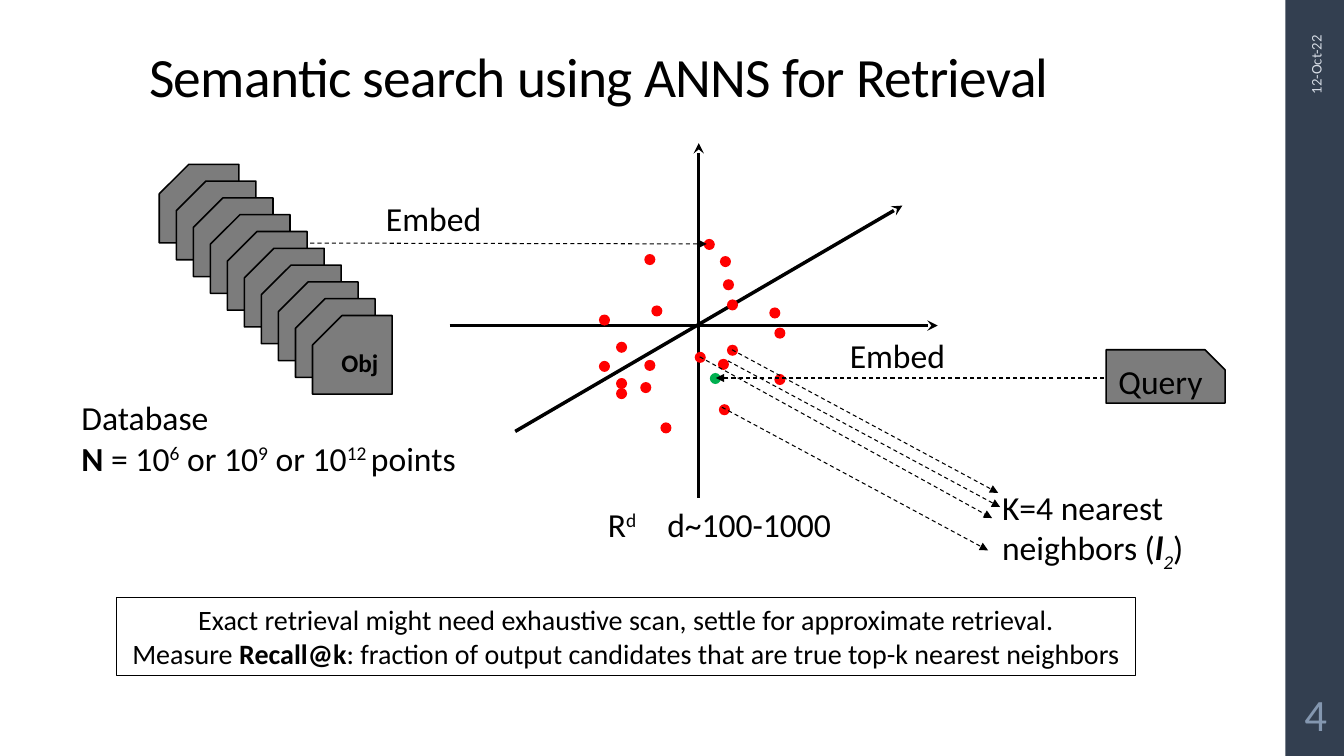
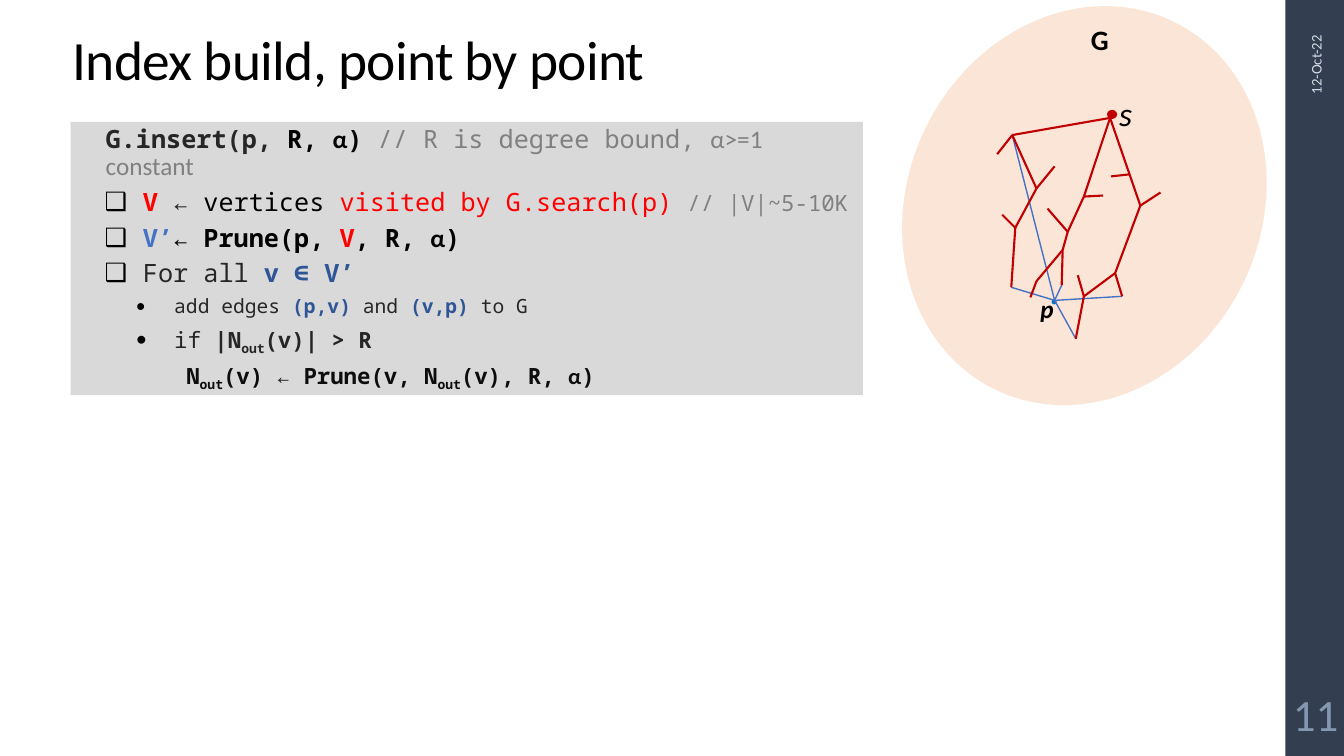
from itertools import pairwise

from lxml import etree
from pptx import Presentation
from pptx.dml.color import RGBColor
from pptx.enum.dml import MSO_LINE
from pptx.enum.shapes import MSO_CONNECTOR, MSO_SHAPE
from pptx.enum.text import MSO_ANCHOR, MSO_AUTO_SIZE, PP_ALIGN
from pptx.oxml.ns import qn
from pptx.util import Inches, Pt

LEFT, CENTER, RIGHT = PP_ALIGN.LEFT, PP_ALIGN.CENTER, PP_ALIGN.RIGHT
TOP, MIDDLE, BOTTOM = MSO_ANCHOR.TOP, MSO_ANCHOR.MIDDLE, MSO_ANCHOR.BOTTOM
NO_AUTOFIT = MSO_AUTO_SIZE.NONE
RECTANGLE, OVAL = MSO_SHAPE.RECTANGLE, MSO_SHAPE.OVAL
SNIPPED, NODE = MSO_SHAPE.SNIP_1_RECTANGLE, MSO_SHAPE.FLOWCHART_CONNECTOR
STRAIGHT, DASH = MSO_CONNECTOR.STRAIGHT, MSO_LINE.DASH

SANS, MONO = "Calibri", "Noto Sans Mono"
COLORS = {
    "black": "000000", "band": "333F50", "date": "D6DCE5", "number": "8497B0",
    "card": "7C7C7C", "red": "FF0000", "green": "00B050", "peach": "FBE5D6",
    "panel": "D9D9D9", "ink": "262626", "dark": "0D0D0D", "comment": "808080",
    "blue": "4472C4", "navy": "2F5597", "edge": "C00000", "point": "0070C0",
}


def rgb(name):
    return RGBColor.from_string(COLORS[name])


class Deck:
    def __init__(self):
        self.deck = Presentation()
        self.deck.slide_width, self.deck.slide_height = Inches(13.33), Inches(7.5)
        self.slide = None

    def page(self, title, left, top, number):
        """Start a slide with its title, side band, date and page number."""
        self.slide = self.deck.slides.add_slide(self.deck.slide_layouts[5])
        box = self.slide.shapes.title
        box.left, box.top, box.width, box.height = map(Inches, (left, top, 10.6, 0.74))
        self.set_text(box, [[(title, {})]], size=39.6, anchor=BOTTOM)
        paragraph = box.text_frame.paragraphs[0]
        paragraph.line_spacing = 0.9
        paragraph.runs[0]._r.get_or_add_rPr().set("spc", "-50")

        self.shape(RECTANGLE, 12.75, 0, 0.6, 7.5, fill="band")
        date = self.text(12.01, 1.09, 2.08, 0.4, "12-Oct-22", size=10.5, color="date",
                         align=RIGHT, anchor=MIDDLE)
        date.rotation = 270
        self.text(12.75, 6.75, 0.6, 0.65, str(number), size=32, color="number",
                  align=CENTER, anchor=MIDDLE, inset=0.05)

    def set_text(self, box, paragraphs, size=24, color="black", font=SANS, align=LEFT,
                 anchor=TOP, inset=None):
        """Fill a box with paragraphs, each a list of (text, style changes)."""
        frame = box.text_frame
        frame.word_wrap, frame.auto_size = True, NO_AUTOFIT
        frame.vertical_anchor = anchor
        if inset is not None:
            frame.margin_left = frame.margin_right = Inches(inset)
            frame.margin_top = frame.margin_bottom = Inches(inset)
        for index, spans in enumerate(paragraphs):
            para = frame.add_paragraph() if index else frame.paragraphs[0]
            para.alignment = align
            for text, changes in spans:
                style = {"size": size, "color": color, "font": font} | changes
                span = para.add_run()
                span.text = text
                span.font.name, span.font.size = style["font"], Pt(style["size"])
                span.font.color.rgb = rgb(style["color"])
                span.font.bold = style.get("bold", False)
                span.font.italic = style.get("italic", False)
                if "base" in style:
                    baseline = str(style["base"] * 1000)
                    span._r.get_or_add_rPr().set("baseline", baseline)

    def text(self, left, top, width, height, content, **style):
        box = self.slide.shapes.add_textbox(*map(Inches, (left, top, width, height)))
        paragraphs = [[(content, {})]] if isinstance(content, str) else content
        self.set_text(box, paragraphs, **style)
        return box

    def shape(self, kind, left, top, width, height, fill=None, line=None, weight=1.1):
        shape = self.slide.shapes.add_shape(kind, *map(Inches, (left, top, width, height)))
        shape.shadow.inherit = False
        if fill:
            shape.fill.solid()
            shape.fill.fore_color.rgb = rgb(fill)
        else:
            shape.fill.background()
        if line:
            shape.line.color.rgb = rgb(line)
            shape.line.width = Pt(weight)
        else:
            shape.line.fill.background()
        return shape

    def card(self, left, top, width, height, flipped=False):
        card = self.shape(SNIPPED, left, top, width, height, fill="card", line="black")
        card.adjustments[0] = 0.376
        if flipped:
            card._element.spPr.find(qn("a:xfrm")).set("flipH", "1")
        return card

    def dot(self, left, top, fill="red"):
        self.shape(OVAL, left, top, 0.11, 0.11, fill=fill)

    def line(self, start, end, color="black", weight=0.75, dashed=False, arrow=None):
        line = self.slide.shapes.add_connector(STRAIGHT, *map(Inches, (*start, *end)))
        line.line.color.rgb = rgb(color)
        line.line.width = Pt(weight)
        if dashed:
            line.line.dash_style = DASH
        if arrow:
            etree.SubElement(line.get_or_add_ln(), qn("a:tailEnd"), type=arrow)
        etree.SubElement(line._element.spPr, qn("a:effectLst"))

    def dashed_arrow(self, start, end):
        self.line(start, end, dashed=True, arrow="triangle")

    def indent(self, para, left, bullet=None):
        properties = para._p.get_or_add_pPr()
        properties.set("marL", str(Inches(left)))
        properties.set("indent", str(Inches(-0.38 if bullet else 0)))
        if bullet:
            color = etree.SubElement(properties, qn("a:buClr"))
            etree.SubElement(color, qn("a:srgbClr"), val=COLORS["black"])
            etree.SubElement(properties, qn("a:buFont"), typeface=SANS)
            etree.SubElement(properties, qn("a:buChar"), char=bullet)

    def tab_stop(self, para, position):
        stops = etree.SubElement(para._p.get_or_add_pPr(), qn("a:tabLst"))
        etree.SubElement(stops, qn("a:tab"), pos=str(Inches(position)), algn="l")


def semantic_search(deck):
    deck.page("Semantic search using ANNS for Retrieval", 1.38, 0.4, 4)

    deck.dot(6.98, 2.37)
    deck.dashed_arrow((2.36, 2.41), (7.01, 2.42))
    deck.text(3.73, 1.91, 1.3, 0.5, "Embed")
    for start, end in [((5.11, 4.28), (8.95, 2.04)), ((4.46, 3.23), (9.3, 3.23)),
                       ((6.93, 4.94), (6.93, 1.42))]:
        deck.line(start, end, weight=2.5, arrow="stealth")

    steps = 9
    for step in range(steps + 1):
        card = deck.card(1.58 + step * 1.52 / steps, 1.63 + step * 1.5 / steps,
                         0.79, 0.78, flipped=True)
    deck.set_text(card, [[("Obj", {"bold": True})]], size=18, align=CENTER, anchor=MIDDLE)

    power = {"base": 30}
    deck.text(0.71, 3.89, 4.06, 1.18, [
        [("Database", {})],
        [("N ", {"bold": True}), ("= 10", {}), ("6", power), (" or 10", {}),
         ("9", power), (" or 10", {}), ("12 ", power), ("points", {})],
    ])

    for left, top in [
        (7.14, 2.54), (6.39, 2.52), (6.11, 3.85), (7.63, 3.05), (5.94, 3.58),
        (6.11, 3.75), (7.68, 3.71), (6.46, 3.03), (6.55, 4.19), (7.13, 4.01),
        (6.11, 3.39), (5.94, 3.12), (6.39, 3.57), (7.68, 3.25), (7.12, 3.56),
        (6.89, 3.49), (6.35, 3.79), (7.17, 2.77), (7.21, 3.42), (7.21, 2.97),
    ]:
        deck.dot(left, top)
    space = deck.text(5.93, 4.95, 2.6, 0.5, [[("R", {}), ("d", power), ("\td~100-1000", {})]])
    deck.tab_stop(space.text_frame.paragraphs[0], 0.59)

    query = deck.card(10.97, 3.47, 1.18, 0.53)
    deck.set_text(query, [[("Query", {})]], align=CENTER, anchor=MIDDLE)
    deck.dot(7.04, 3.7, fill="green")
    deck.dashed_arrow((10.95, 3.75), (7.1, 3.75))
    deck.text(8.33, 3.27, 1.3, 0.5, "Embed")

    for start, end in [((7.22, 3.58), (9.92, 5.03)), ((7.26, 3.47), (9.9, 4.89)),
                       ((6.94, 3.54), (9.84, 5.14)), ((7.16, 4.04), (9.8, 5.46))]:
        deck.dashed_arrow(start, end)
    deck.text(9.84, 4.78, 2.23, 0.91, [[
        ("K=4 nearest neighbors (", {}), ("l", {"bold": True, "italic": True}),
        ("2", {"italic": True, "base": -25}), (")", {}),
    ]])

    summary = deck.shape(RECTANGLE, 1.16, 5.93, 10.1, 0.77, line="black", weight=0.75)
    deck.set_text(summary, [
        [("Exact retrieval might need exhaustive scan, settle for approximate retrieval.", {})],
        [("Measure ", {}), ("Recall@k", {"bold": True}),
         (": fraction of output candidates that are true top-k nearest neighbors", {})],
    ], size=20, align=CENTER)


def insert_code(deck):
    bold = {"bold": True}
    ink, red, comment = {"color": "ink"}, {"color": "red"}, {"color": "comment"}
    navy = {"color": "navy"} | bold
    alpha = {"font": SANS} | bold
    small, medium = {"size": 14}, {"size": 16}
    strong = ink | medium | bold
    dark = strong | {"color": "dark"}
    below = {"base": -25}
    lines = [
        (0.25, None, [("G.insert(p, ", ink | bold), ("R, ", bold), ("α", alpha), (") ", bold),
                      ("// R is degree bound, ", comment),
                      ("α>=1 constant", comment | {"font": SANS})]),
        (0.62, "❑", [("V ", red | bold), ("← ", ink), ("vertices", {}),
                     (" visited by G.search(p) ", red), ("// |V|~5-10K", comment | medium)]),
        (0.62, "❑", [("V’", {"color": "blue"} | bold), ("← ", {}), ("Prune(p, ", bold),
                     ("V", red | bold), (", R, ", bold), ("α", alpha), (")", bold)]),
        (0.62, "❑", [("For all ", ink), ("v ∈ V’", navy)]),
        (0.93, "•", [("add edges ", ink | small), ("(p,v)", navy | small),
                     (" and ", ink | small), ("(v,p)", navy | small), (" to G", ink | small)]),
        (0.93, "•", [("if ", ink | medium), ("|N", strong), ("out", strong | below),
                     ("(v)| > R", strong)]),
        (1.05, None, [("N", dark), ("out", dark | below), ("(v) ", dark), ("← ", strong),
                      ("Prune(v, N", dark), ("out", dark | below), ("(v), R, ", dark),
                      ("α", dark | alpha), (")", dark)]),
    ]
    panel = deck.shape(RECTANGLE, 0.7, 1.21, 7.86, 2.71, fill="panel")
    deck.set_text(panel, [spans for left, bullet, spans in lines], size=18, font=MONO)
    for index, para in enumerate(panel.text_frame.paragraphs):
        para.line_spacing = 0.9
        para.space_before, para.space_after = Pt(3 if index else 0), Pt(3)
        left, bullet, spans = lines[index]
        deck.indent(para, left, bullet)


def graph(deck):
    deck.shape(NODE, 10.98, 1.09, 0.1, 0.09, fill="edge")
    deck.shape(NODE, 10.43, 2.97, 0.05, 0.05, fill="point")
    deck.text(11, 0.87, 0.22, 0.5, [[("s", {"italic": True})]])
    deck.text(10.22, 2.86, 0.31, 0.4, [[("p", {"bold": True, "italic": True})]], size=18)
    deck.text(10.72, 0.17, 0.38, 0.44, [[("G", {"bold": True})]], size=20)

    vertices = {
        "s": (11.01, 1.17), "p": (10.46, 2.98),
        "a": (10.04, 1.34), "b": (10.28, 1.87), "c": (10.07, 2.26), "d": (10.03, 2.85),
        "e": (10.75, 1.95), "f": (10.59, 2.3), "g": (10.54, 2.48), "h": (10.28, 2.79),
        "i": (10.53, 2.83), "j": (11.31, 2.04), "k": (11.06, 2.71), "l": (10.75, 2.94),
        "m": (10.67, 3.36), "n": (11.13, 2.94),
        "A": (9.89, 1.53), "B": (10.46, 1.65), "C": (9.94, 2.13), "E": (10.94, 1.94),
        "F": (10.39, 2.07), "H": (10.22, 2.95), "J": (11.51, 1.91), "L": (10.69, 2.73),
        "T": (11.02, 1.75), "U": (11.2, 1.73),
    }
    new_edges = ["dp", "ip", "np", "mp", "ap"]
    old_edges = ["sabcd", "sefghH", "gi", "sjklm", "kn",
                 "aA", "bB", "cC", "eE", "fF", "jJ", "lL", "TU"]
    for routes, color, weight in [(new_edges, "blue", 1), (old_edges, "edge", 1.5)]:
        for route in routes:
            for start, end in pairwise(route):
                deck.line(vertices[start], vertices[end], color, weight)


def index_build(deck):
    deck.page("Index build, point by point", 0.62, 0.23, 11)
    region = deck.shape(OVAL, 9.01, 0.02, 3.49, 4.04, fill="peach", line="peach")
    region.rotation = 25.7
    insert_code(deck)
    graph(deck)


def main():
    deck = Deck()
    semantic_search(deck)
    index_build(deck)
    deck.deck.save("out.pptx")


if __name__ == "__main__":
    main()
